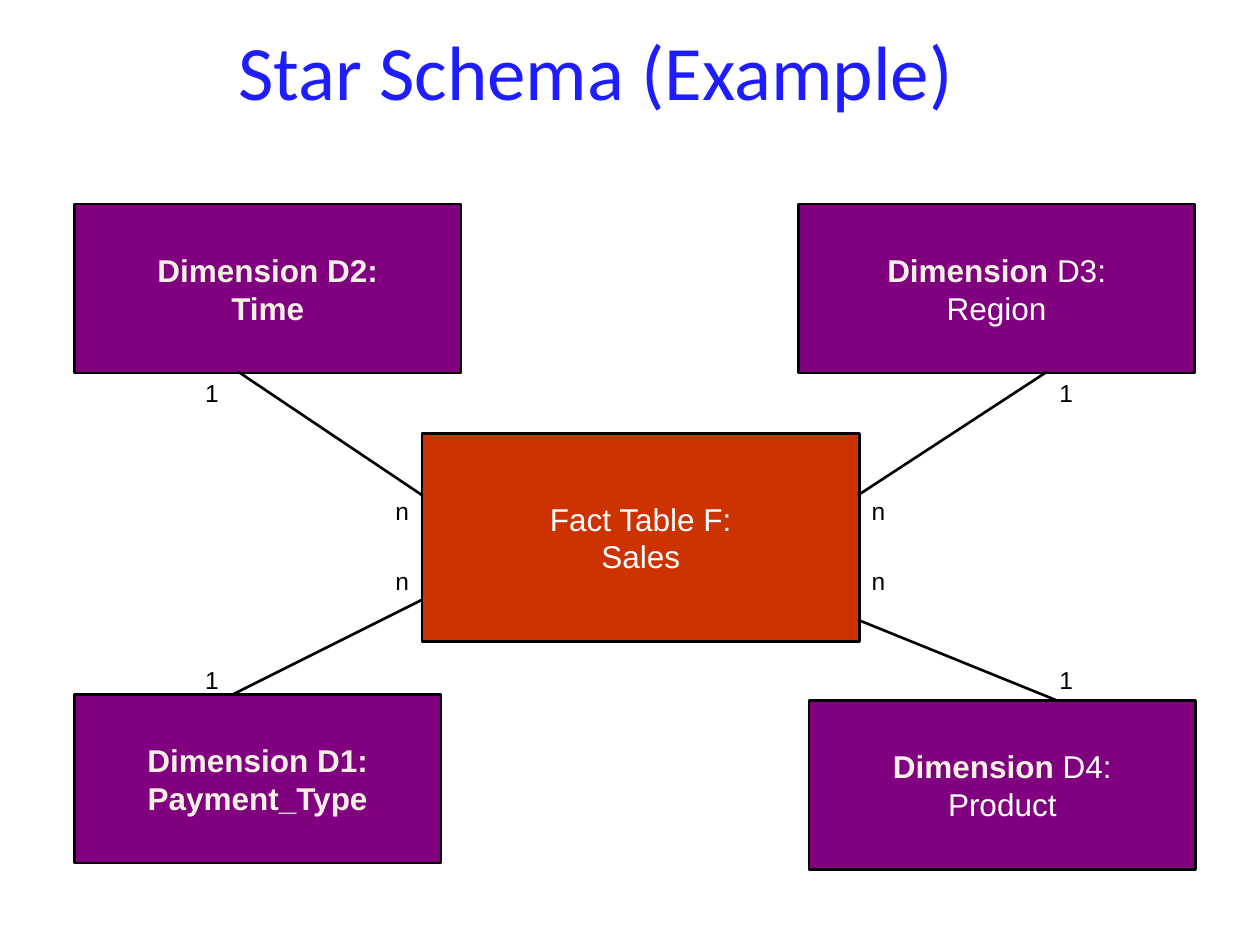
from lxml import etree
from pptx import Presentation, util as u
from pptx.dml.color import RGBColor
from pptx.enum import shapes, text
from pptx.oxml.ns import qn

BLACK, WHITE, CREAM = "000000", "FFFFFF", "F4F1E3"
PURPLE, RED, BLUE = "800080", "CC3300", "1D1DFF"


def hue(code):
    return RGBColor.from_string(code)


def add_run(para, words, size, color, bold=False, face="Arial"):
    run = para.add_run()
    run.text = words
    font = run.font
    font.name, font.size, font.bold = face, u.Pt(size), bold
    font.color.rgb = hue(color)


def add_title(slide, words):
    title = slide.shapes.title
    title.left, title.top = u.Inches(0.21), u.Inches(0.12)
    title.width, title.height = u.Inches(9.04), u.Inches(0.87)
    frame = title.text_frame
    frame.vertical_anchor = text.MSO_ANCHOR.MIDDLE
    para = frame.paragraphs[0]
    para.alignment = text.PP_ALIGN.CENTER
    add_run(para, words, 44, BLUE, face="Calibri")


def add_box(slide, place, fill, lines):
    """Each line is a list of (words, color, bold) runs."""
    box = slide.shapes.add_shape(shapes.MSO_SHAPE.RECTANGLE,
                                 *map(u.Inches, place))
    box.shadow.inherit = False
    box.fill.solid()
    box.fill.fore_color.rgb = hue(fill)
    box.line.color.rgb = hue(BLACK)
    box.line.width = u.Pt(1.5)
    frame = box.text_frame
    frame.word_wrap = False
    frame.vertical_anchor = text.MSO_ANCHOR.MIDDLE
    for i, runs in enumerate(lines):
        para = frame.add_paragraph() if i else frame.paragraphs[0]
        para.alignment = text.PP_ALIGN.CENTER
        for words, color, bold in runs:
            add_run(para, words, 18, color, bold)


def add_link(slide, start, end):
    link = slide.shapes.add_connector(shapes.MSO_CONNECTOR.STRAIGHT,
                                      *map(u.Inches, start + end))
    link.line.color.rgb = hue(BLACK)
    link.line.width = u.Pt(1.5)
    etree.SubElement(link._element.spPr, qn("a:effectLst"))


def add_mark(slide, words, left, top):
    box = slide.shapes.add_textbox(*map(u.Inches, (left, top, 0.31, 0.34)))
    frame = box.text_frame
    frame.word_wrap = False
    frame.auto_size = text.MSO_AUTO_SIZE.SHAPE_TO_FIT_TEXT
    add_run(frame.paragraphs[0], words, 14, BLACK)


def main():
    deck = Presentation()
    deck.slide_width, deck.slide_height = u.Inches(10), u.Inches(7.5)
    slide = deck.slides.add_slide(deck.slide_layouts[5])
    add_title(slide, "Star Schema (Example)")

    # Fact table
    add_box(slide, (3.35, 3.44, 3.47, 1.65), RED,
            [[("Fact Table F:", WHITE, False)], [("Sales", WHITE, False)]])

    # Left dimensions, all bold
    for key, name, top, width in (("D2", "Time", 1.62, 3.07),
                                  ("D1", "Payment_Type", 5.51, 2.91)):
        add_box(slide, (0.59, top, width, 1.34), PURPLE,
                [[(f"Dimension {key}:", CREAM, True)], [(name, CREAM, True)]])

    # Right dimensions, first word bold
    for key, name, left, top, width in (("D3", "Region", 6.34, 1.62, 3.14),
                                        ("D4", "Product", 6.42, 5.56, 3.07)):
        add_box(slide, (left, top, width, 1.34), PURPLE,
                [[("Dimension", CREAM, True), (f" {key}:", WHITE, False)],
                 [(name, WHITE, False)]])

    # Links from the fact table to each dimension
    for start, end in (((3.35, 3.93), (1.89, 2.95)),
                       ((3.35, 4.76), (1.85, 5.51)),
                       ((6.81, 3.93), (8.31, 2.95)),
                       ((6.81, 4.92), (8.39, 5.56))):
        add_link(slide, start, end)

    # Cardinalities at both ends of the links
    for words, lefts, tops in (("1", (1.53, 8.31), (2.95, 5.23)),
                               ("n", (3.04, 6.82), (3.89, 4.44))):
        for left in lefts:
            for top in tops:
                add_mark(slide, words, left, top)

    deck.save("out.pptx")


if __name__ == "__main__":
    main()
